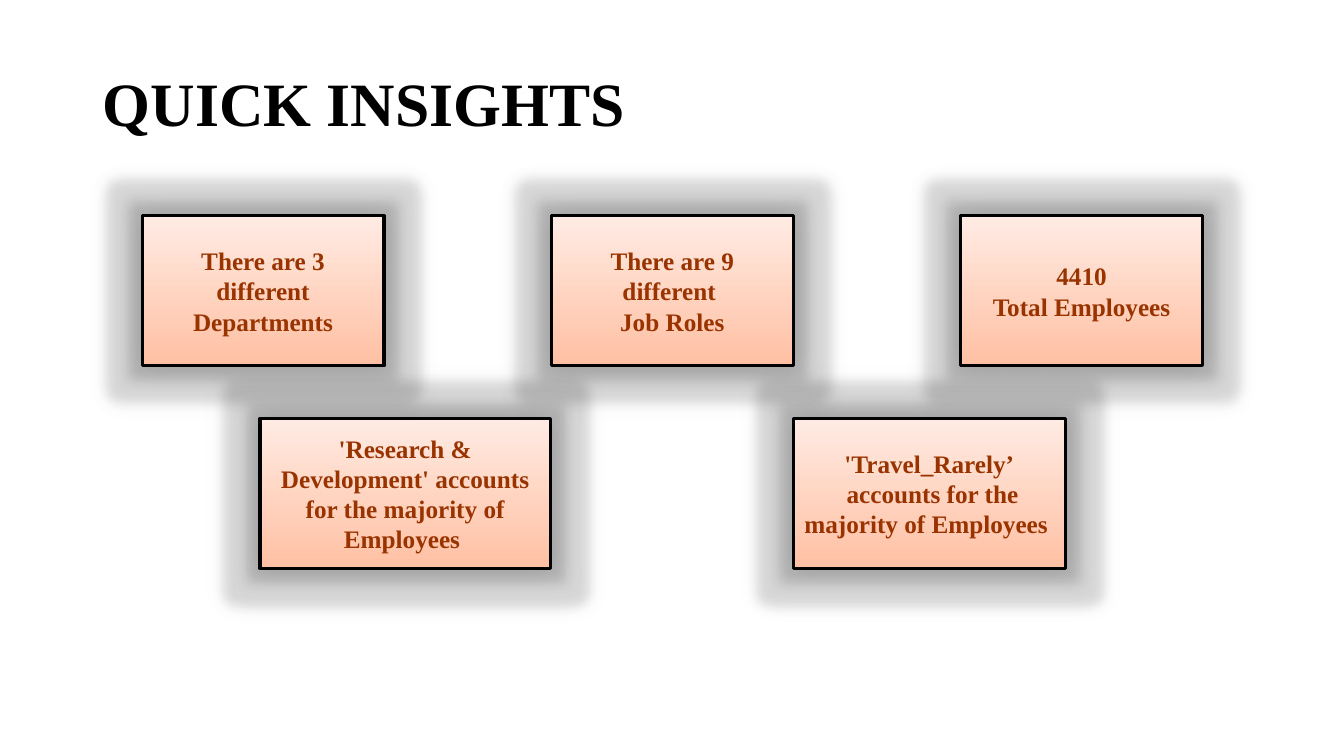
from lxml import etree
from pptx import Presentation
from pptx.dml.color import RGBColor
from pptx.enum.shapes import MSO_SHAPE
from pptx.enum.text import MSO_ANCHOR, PP_ALIGN
from pptx.oxml.ns import qn
from pptx.util import Pt

RECT = MSO_SHAPE.RECTANGLE
MIDDLE = MSO_ANCHOR.MIDDLE
LEFT, CENTER = PP_ALIGN.LEFT, PP_ALIGN.CENTER

BLACK = RGBColor(0x00, 0x00, 0x00)
RUST = RGBColor(0x99, 0x33, 0x00)
PEACH = RGBColor(0xFF, 0xC0, 0xA3)
CREAM = RGBColor(0xFF, 0xEB, 0xE3)

FONT = "Times New Roman"
HEIGHT = 107.28
TOP_ROW, LOW_ROW = 154.08, 298.8
TOP_LEFT, TOP_STEP, TOP_WIDTH = 101.52, 292.32, 172.8

TOP_FACTS = [
    ["There are 3 different", "Departments"],
    ["There are 9 different ", "Job Roles"],
    ["4410", "Total Employees"],
]
LOW_FACTS = [
    (185.76, 207.36, ["'Research & Development' accounts for the majority of Employees "]),
    (566.64, 194.4, ["'Travel_Rarely’", " accounts for the majority of Employees "]),
]


def write(shape, lines, size=18, color=RUST, align=CENTER, spacing=1.0):
    frame = shape.text_frame
    frame.word_wrap = True
    frame.vertical_anchor = MIDDLE
    frame.text = "\n".join(lines)
    for para in frame.paragraphs:
        para.alignment = align
        para.line_spacing = spacing
        for run in para.runs:
            run.font.name = FONT
            run.font.size = Pt(size)
            run.font.bold = True
            run.font.color.rgb = color


def add_effect(shape, tag, alpha, **sizes):
    """Add a black glow or shadow with the given opacity in percent."""
    effects = shape._element.spPr.find(qn("a:effectLst"))
    effect = etree.SubElement(effects, qn(tag))
    for name, size in sizes.items():
        effect.set(name, str(Pt(size)))
    color = etree.SubElement(effect, qn("a:srgbClr"), val=str(BLACK))
    etree.SubElement(color, qn("a:alpha"), val=str(alpha * 1000))


def add_card(slide, left, top, width, lines):
    card = slide.shapes.add_shape(RECT, Pt(left), Pt(top), Pt(width), Pt(HEIGHT))
    card.fill.gradient()
    card.fill.gradient_angle = 90
    for stop, color in zip(card.fill.gradient_stops, (PEACH, CREAM)):
        stop.color.rgb = color
    card.line.color.rgb = BLACK
    card.line.width = Pt(2.25)
    card.shadow.inherit = False
    add_effect(card, "a:glow", 14, rad=18)
    add_effect(card, "a:outerShdw", 14, blurRad=18, dist=0)
    write(card, lines)


def add_title(slide, text):
    title = slide.shapes.title
    title.left, title.top = Pt(66.24), Pt(28.8)
    title.width, title.height = Pt(828), Pt(94.32)
    write(title, [text], size=44, color=BLACK, align=LEFT, spacing=0.9)


def main():
    deck = Presentation()
    deck.slide_width, deck.slide_height = Pt(960), Pt(540)
    slide = deck.slides.add_slide(deck.slide_layouts[5])
    add_title(slide, "QUICK INSIGHTS")
    for left, width, lines in LOW_FACTS:
        add_card(slide, left, LOW_ROW, width, lines)
    for col, lines in reversed(list(enumerate(TOP_FACTS))):
        add_card(slide, TOP_LEFT + col * TOP_STEP, TOP_ROW, TOP_WIDTH, lines)
    deck.save("out.pptx")


if __name__ == "__main__":
    main()
